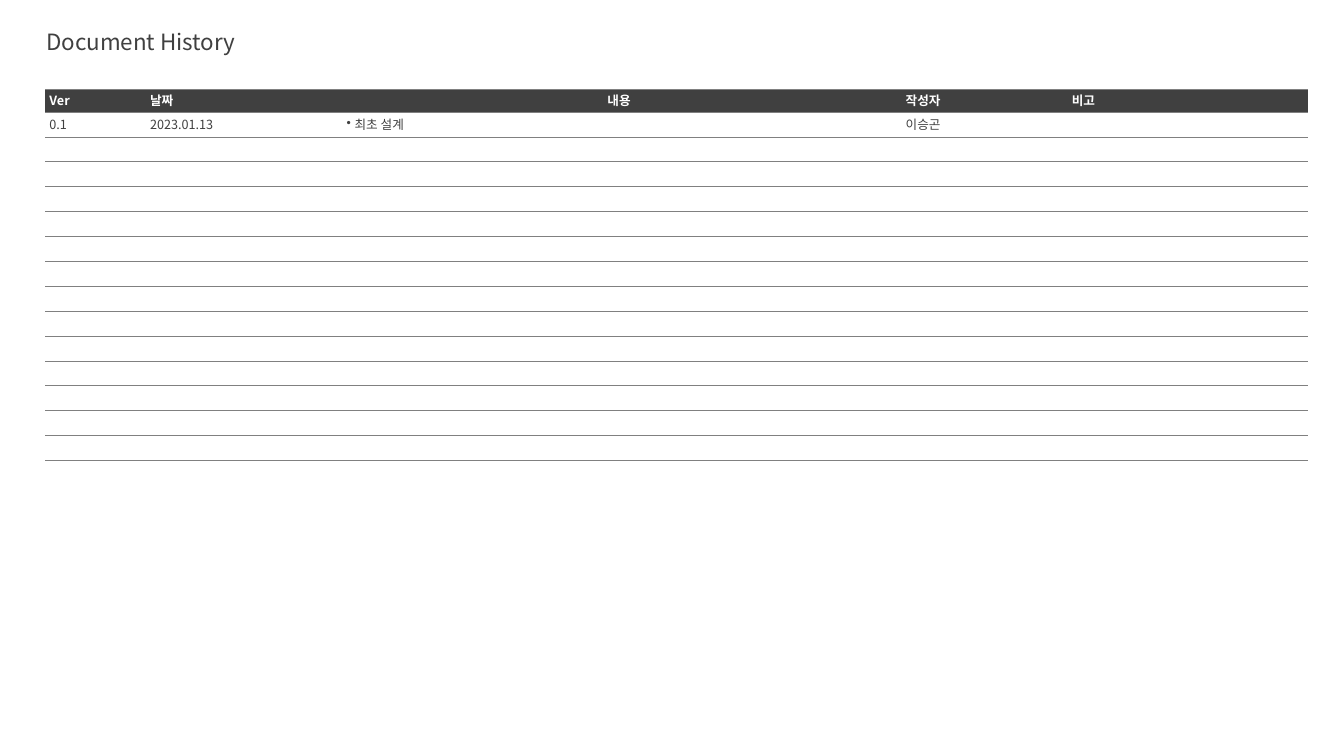
from lxml import etree
from pptx import Presentation
from pptx.dml.color import RGBColor
from pptx.enum.text import MSO_ANCHOR, MSO_AUTO_SIZE, PP_ALIGN
from pptx.oxml.ns import qn
from pptx.util import Inches, Pt

FONT = "Noto Sans CJK KR"
COLORS = {"dark": "404040", "white": "FFFFFF", "rule": "808080"}
COLUMN_WIDTHS = [0.78, 0.22, 1.95, 5.55, 1.65, 2.38]
HEADER_HEIGHT = 0.23
ENTRY_COUNT = 14
CONTENT_COLUMN = 3
HEADER = ["Ver", "", "날짜", "내용", "작성자", "비고"]
ENTRIES = [["0.1", "", "2023.01.13", "최초 설계", "이승곤", ""]]


def style_runs(paragraph, size, color, bold=False):
    for run in paragraph.runs:
        run.font.name = FONT
        run.font.size = Pt(size)
        run.font.bold = bold
        run.font.color.rgb = RGBColor.from_string(COLORS[color])
        latin = run.font._element.find(qn("a:latin"))
        east_asian = etree.Element(qn("a:ea"), typeface=FONT)
        latin.addnext(east_asian)


def add_bullet(paragraph, indent):
    properties = paragraph._p.get_or_add_pPr()
    properties.set("marL", str(Inches(indent)))
    properties.set("indent", str(-Inches(indent)))
    etree.SubElement(properties, qn("a:buChar"), char="•")


def set_borders(cell):
    """Rule the top and bottom of a cell and leave its sides open."""
    properties = cell._tc.get_or_add_tcPr()
    for position, side in enumerate(("lnL", "lnR", "lnT", "lnB")):
        line = etree.Element(qn(f"a:{side}"), w=str(Pt(0.25)))
        if side in ("lnT", "lnB"):
            fill = etree.SubElement(line, qn("a:solidFill"))
            etree.SubElement(fill, qn("a:srgbClr"), val=COLORS["rule"])
        else:
            etree.SubElement(line, qn("a:noFill"))
        properties.insert(position, line)


def fill_cell(cell, text, is_header):
    cell.vertical_anchor = MSO_ANCHOR.MIDDLE
    cell.margin_left, cell.margin_right = Inches(0.04), Inches(0.1)
    cell.margin_top = cell.margin_bottom = Inches(0.02)
    if is_header:
        cell.fill.solid()
        cell.fill.fore_color.rgb = RGBColor.from_string(COLORS["dark"])
    else:
        cell.fill.background()
    set_borders(cell)

    paragraph = cell.text_frame.paragraphs[0]
    if text:
        paragraph.text = text
        style_runs(paragraph, 9, "white" if is_header else "dark", is_header)
    else:
        # Keeps blank rows from growing to the default text size
        etree.SubElement(paragraph._p, qn("a:endParaRPr"), sz="900")


def add_title(slide, left, top, width, height):
    title = slide.shapes.title
    title.left, title.top = Inches(left), Inches(top)
    title.width, title.height = Inches(width), Inches(height)
    text_frame = title.text_frame
    text_frame.text = "Document History"
    text_frame.word_wrap = True
    text_frame.auto_size = MSO_AUTO_SIZE.NONE
    text_frame.vertical_anchor = MSO_ANCHOR.TOP
    paragraph = text_frame.paragraphs[0]
    paragraph.alignment = PP_ALIGN.LEFT
    paragraph.line_spacing = 0.9
    style_runs(paragraph, 16, "dark")


def add_history_table(slide, left, top, width, height):
    frame = slide.shapes.add_table(
        ENTRY_COUNT + 1, len(COLUMN_WIDTHS),
        Inches(left), Inches(top), Inches(width), Inches(height))
    table = frame.table
    table.first_row = table.horz_banding = False

    # Column and row sizes
    for column, share in zip(table.columns, COLUMN_WIDTHS):
        column.width = Inches(width * share / sum(COLUMN_WIDTHS))
    entry_height = (height - HEADER_HEIGHT) / ENTRY_COUNT
    for index, row in enumerate(table.rows):
        row.height = Inches(entry_height if index else HEADER_HEIGHT)

    # Header, entries and blank rows
    blank_rows = [[""] * len(HEADER)] * (ENTRY_COUNT - len(ENTRIES))
    for row_index, texts in enumerate([HEADER] + ENTRIES + blank_rows):
        for column_index, text in enumerate(texts):
            cell = table.cell(row_index, column_index)
            fill_cell(cell, text, row_index == 0)
            if text and column_index == CONTENT_COLUMN:
                paragraph = cell.text_frame.paragraphs[0]
                if row_index == 0:
                    paragraph.alignment = PP_ALIGN.CENTER
                else:
                    add_bullet(paragraph, 0.08)
    table.cell(0, 0).merge(table.cell(0, 1))


def main():
    presentation = Presentation()
    presentation.slide_width = Inches(13.33)
    presentation.slide_height = Inches(7.5)
    slide = presentation.slides.add_slide(presentation.slide_layouts[5])
    add_title(slide, 0.36, 0.26, 4.93, 0.39)
    add_history_table(slide, 0.45, 0.88, 12.52, 3.69)
    presentation.save("out.pptx")


if __name__ == "__main__":
    main()
